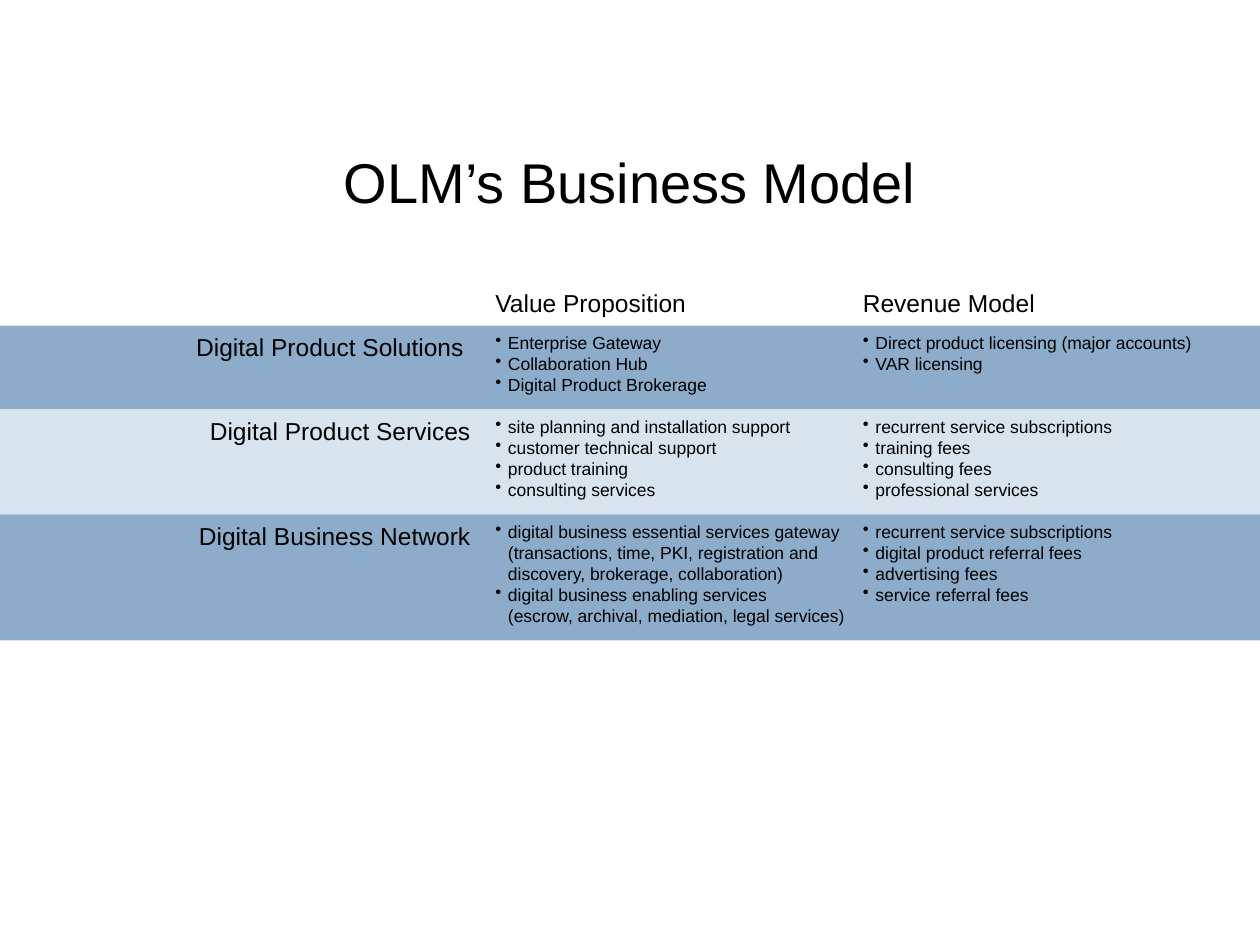
import pptx
import pptx.dml.color
import pptx.enum.shapes
import pptx.enum.text
import pptx.oxml
import pptx.oxml.ns
import pptx.util

Pt = pptx.util.Pt
ALIGN = pptx.enum.text.PP_ALIGN
ANCHOR = pptx.enum.text.MSO_ANCHOR
COLORS = {"text": "000000", "dark band": "8CACCA", "light band": "D7E3ED"}

# Columns as (left, width), in points
LABEL_COLUMN = (36, 240)
VALUE_COLUMN = (276, 216)
REVENUE_COLUMN = (486, 222)

# Band colour, height, label, value proposition, revenue model
BANDS = [
    ("dark band", 48, "Digital Product Solutions ",
     ["Enterprise Gateway", "Collaboration Hub", "Digital Product Brokerage"],
     ["Direct product licensing (major accounts)", "VAR licensing"]),
    ("light band", 60, "Digital Product Services",
     ["site planning and installation support", "customer technical support",
      "product training", "consulting services"],
     ["recurrent service subscriptions", "training fees", "consulting fees",
      "professional services"]),
    ("dark band", 72, "Digital Business Network",
     ["digital business essential services gateway (transactions, time, PKI, "
      "registration and discovery, brokerage, collaboration)",
      "digital business enabling services\n"
      "(escrow, archival, mediation, legal services)"],
     ["recurrent service subscriptions", "digital product referral fees",
      "advertising fees", "service referral fees"]),
]


def rgb(name):
    return pptx.dml.color.RGBColor.from_string(COLORS[name])


def add_bullet(paragraph):
    properties = paragraph._p.get_or_add_pPr()
    properties.set("marL", str(Pt(7.2)))
    properties.set("indent", str(-Pt(7.2)))
    bullet = pptx.oxml.parse_xml(
        f'<a:buChar {pptx.oxml.ns.nsdecls("a")} char="•"/>')
    properties.append(bullet)


def add_text(slide, box, lines, size, align=ALIGN.LEFT, anchor=ANCHOR.TOP,
             bulleted=False):
    shape = slide.shapes.add_textbox(*map(Pt, box))
    frame = shape.text_frame
    frame_format = {"word_wrap": True, "vertical_anchor": anchor}
    for name, value in frame_format.items():
        setattr(frame, name, value)
    font_format = {"name": "Arial", "size": Pt(size)}
    for index, line in enumerate(lines):
        paragraph = frame.add_paragraph() if index else frame.paragraphs[0]
        paragraph.text = line
        paragraph.alignment = align
        if bulleted:
            add_bullet(paragraph)
        for run in paragraph.runs:
            for name, value in font_format.items():
                setattr(run.font, name, value)
            run.font.color.rgb = rgb("text")


def add_headers(slide, top, height):
    headers = [(VALUE_COLUMN, "Value Proposition"),
               (REVENUE_COLUMN, "Revenue Model")]
    for (left, width), header in headers:
        add_text(slide, (left, top, width, height), [header], 14,
                 anchor=ANCHOR.BOTTOM)


def add_band(slide, box, color, label, values, revenues):
    left, top, width, height = box
    shape = slide.shapes.add_shape(
        pptx.enum.shapes.MSO_SHAPE.RECTANGLE, *map(Pt, box))
    shape.shadow.inherit = False
    shape.fill.solid()
    shape.fill.fore_color.rgb = rgb(color)
    shape.line.fill.background()

    # Label, then the two bulleted lists
    column_left, column_width = LABEL_COLUMN
    add_text(slide, (left + column_left, top, column_width, 24), [label], 14,
             align=ALIGN.RIGHT)
    for (column_left, column_width), items in (
            (VALUE_COLUMN, values), (REVENUE_COLUMN, revenues)):
        add_text(slide, (left + column_left, top, column_width, height - 4),
                 items, 10, bulleted=True)


def main():
    presentation = pptx.Presentation()
    presentation.slide_width = Pt(720)
    presentation.slide_height = Pt(540)
    slide = presentation.slides.add_slide(presentation.slide_layouts[6])

    # Title
    add_text(slide, (54, 36, 612, 90), ["OLM’s Business Model"], 32,
             align=ALIGN.CENTER, anchor=ANCHOR.BOTTOM)

    # Column headers and stacked bands
    add_headers(slide, 144, 41)
    top = 186
    for color, height, label, values, revenues in BANDS:
        add_band(slide, (0, top, 720, height), color, label, values, revenues)
        top += height

    presentation.save("out.pptx")


if __name__ == "__main__":
    main()
